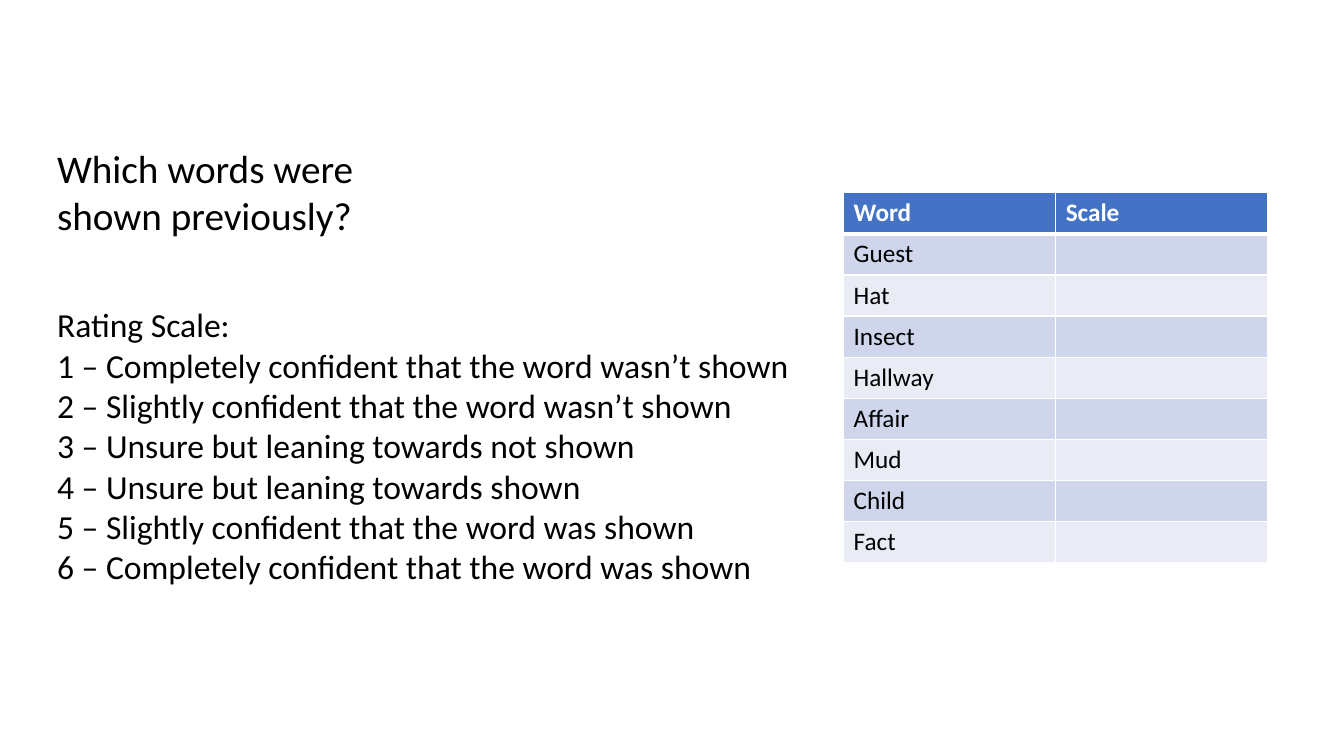
from dataclasses import dataclass

import lxml.etree
import pptx
import pptx.dml.color
import pptx.enum.text
import pptx.oxml.ns
import pptx.util

Cm = pptx.util.Cm
Pt = pptx.util.Pt
FONT = "Calibri"
BLACK, WHITE = "000000", "FFFFFF"
HEADER_BLUE = "4472C4"
BANDS = ("CFD5EA", "E9EBF5")
THIN, THICK = 1, 3
WORDS = ("Guest", "Hat", "Insect", "Hallway", "Affair", "Mud", "Child", "Fact")
RATINGS = (
    "Completely confident that the word wasn’t shown",
    "Slightly confident that the word wasn’t shown",
    "Unsure but leaning towards not shown",
    "Unsure but leaning towards shown",
    "Slightly confident that the word was shown",
    "Completely confident that the word was shown",
)


@dataclass(frozen=True)
class Box:
    left: float
    top: float
    width: float
    height: float

    def lengths(self) -> tuple:
        return Cm(self.left), Cm(self.top), Cm(self.width), Cm(self.height)


@dataclass(frozen=True)
class TextBlock:
    box: Box
    lines: tuple
    size: int


def color(value: str) -> pptx.dml.color.RGBColor:
    return pptx.dml.color.RGBColor.from_string(value)


def write_lines(frame, lines: tuple, size: int, ink: str, bold: bool = False) -> None:
    for index, line in enumerate(lines):
        paragraph = frame.add_paragraph() if index else frame.paragraphs[0]
        font = paragraph.font
        if line:
            run = paragraph.add_run()
            run.text = line
            font = run.font
        for name, value in {"name": FONT, "size": Pt(size), "bold": bold}.items():
            setattr(font, name, value)
        font.color.rgb = color(ink)


def draw_text(slide, block: TextBlock) -> None:
    frame = slide.shapes.add_textbox(*block.box.lengths()).text_frame
    settings = {
        "word_wrap": True,
        "auto_size": pptx.enum.text.MSO_AUTO_SIZE.SHAPE_TO_FIT_TEXT,
    }
    for name, value in settings.items():
        setattr(frame, name, value)
    write_lines(frame, block.lines, block.size, BLACK)


def draw_borders(cell, widths: dict) -> None:
    properties = cell._tc.get_or_add_tcPr()
    for side, width in widths.items():
        line = lxml.etree.SubElement(
            properties, pptx.oxml.ns.qn(f"a:ln{side}"), w=str(Pt(width))
        )
        fill = lxml.etree.SubElement(line, pptx.oxml.ns.qn("a:solidFill"))
        lxml.etree.SubElement(fill, pptx.oxml.ns.qn("a:srgbClr"), val=WHITE)


def draw_table(slide, box: Box, rows: list) -> None:
    table = slide.shapes.add_table(len(rows), len(rows[0]), *box.lengths()).table
    for row_index, row in enumerate(rows):
        header = row_index == 0
        background = HEADER_BLUE if header else BANDS[(row_index - 1) % 2]
        widths = {
            "L": THIN,
            "R": THIN,
            "T": THICK if row_index == 1 else THIN,
            "B": THICK if header else THIN,
        }
        for column_index, text in enumerate(row):
            cell = table.cell(row_index, column_index)
            draw_borders(cell, widths)
            cell.fill.solid()
            cell.fill.fore_color.rgb = color(background)
            write_lines(cell.text_frame, (text,), 18, WHITE if header else BLACK, header)


presentation = pptx.Presentation()
for name, value in {"slide_width": Cm(33.87), "slide_height": Cm(19.05)}.items():
    setattr(presentation, name, value)
slide = presentation.slides.add_slide(presentation.slide_layouts[6])

rating_lines = tuple(f"{number} – {text}" for number, text in enumerate(RATINGS, 1))
draw_table(
    slide,
    Box(21.26, 4.86, 10.69, 9.32),
    [("Word", "Scale")] + [(word, "") for word in WORDS],
)
for block in (
    TextBlock(Box(1.19, 3.51, 10.97, 2.64), ("Which words were", "shown previously?"), 28),
    TextBlock(Box(1.19, 7.54, 19.3, 7.44), ("Rating Scale:",) + rating_lines, 24),
):
    draw_text(slide, block)

presentation.save("out.pptx")
